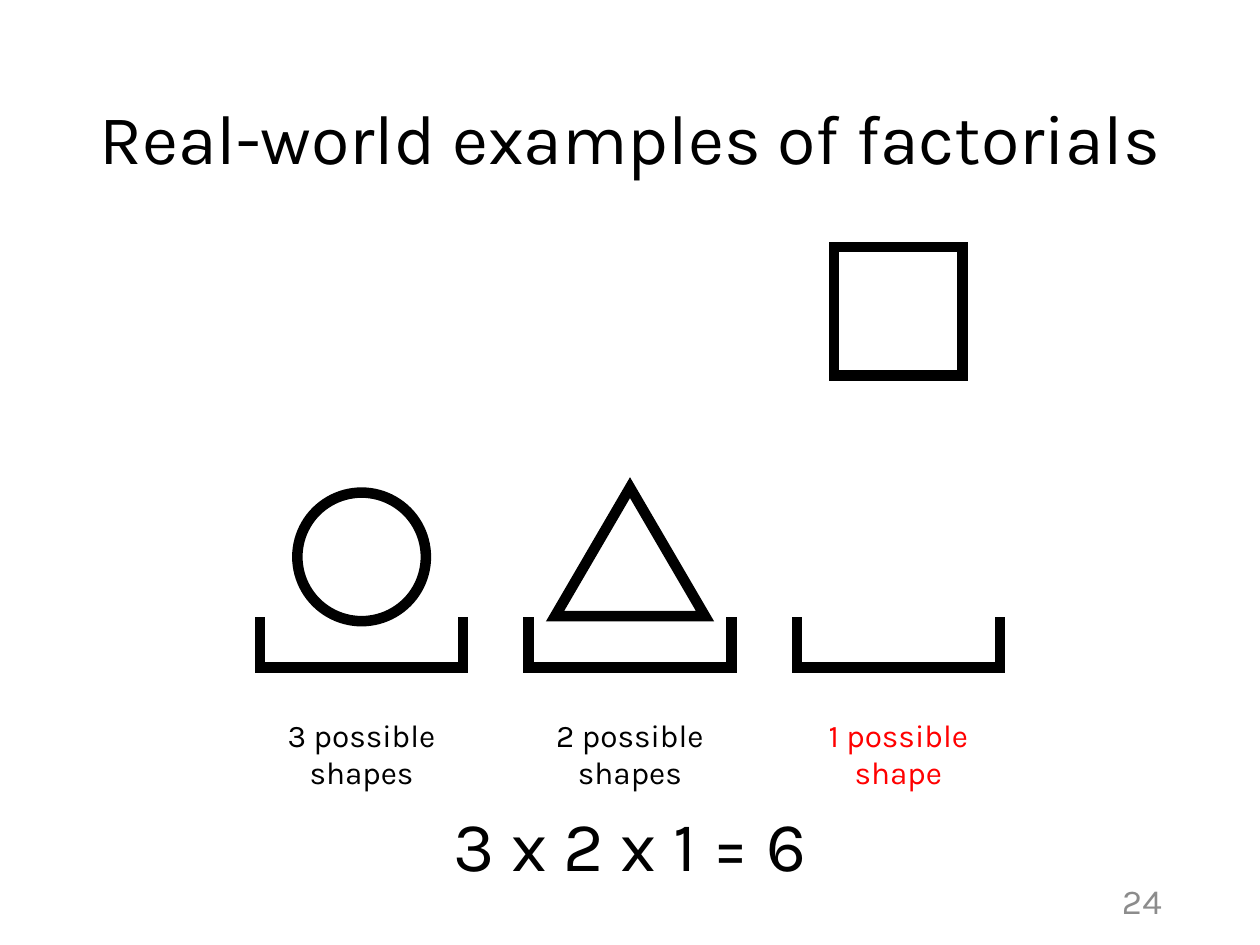
"""Build a slide showing a factorial as three shapes placed into three slots."""
from lxml.etree import SubElement
from pptx import Presentation
from pptx.dml.color import RGBColor
from pptx.enum.shapes import MSO_SHAPE
from pptx.enum.text import MSO_ANCHOR, PP_ALIGN
from pptx.oxml.ns import qn
from pptx.util import Inches, Pt

COLORS = {"black": "000000", "red": "FF0000", "gray": "8C8C8C"}

deck = Presentation()
deck.slide_width, deck.slide_height = Inches(10), Inches(7.5)
slide = deck.slides.add_slide(deck.slide_layouts[6])


def add_text(text, left, top, width, height, size, color="black",
             align=PP_ALIGN.CENTER, anchor=MSO_ANCHOR.TOP):
    frame = slide.shapes.add_textbox(
        Inches(left), Inches(top), Inches(width), Inches(height)).text_frame
    frame.word_wrap = True
    frame.vertical_anchor = anchor
    paragraph = frame.paragraphs[0]
    paragraph.text = text
    paragraph.alignment = align
    paragraph.font.name = "Karla"
    paragraph.font.size = Pt(size)
    paragraph.font.color.rgb = RGBColor.from_string(COLORS[color])
    return paragraph


def add_outline(kind, center_x, center_y, width, height):
    outline = slide.shapes.add_shape(
        kind, Inches(center_x - width / 2), Inches(center_y - height / 2),
        Inches(width), Inches(height))
    outline.shadow.inherit = False
    outline.fill.background()
    outline.line.color.rgb = RGBColor.from_string(COLORS["black"])
    outline.line.width = Pt(6)
    SubElement(outline.line._get_or_add_ln(), qn("a:miter"), lim="800000")
    return outline


title = add_text("Real-world examples of factorials", 0.69, 0.4, 8.62, 1.45, 40,
                 align=PP_ALIGN.LEFT, anchor=MSO_ANCHOR.MIDDLE)
title.line_spacing = 0.9
add_text("24", 8.65, 6.95, 0.67, 0.4, 20, "gray", PP_ALIGN.RIGHT, MSO_ANCHOR.MIDDLE)

slots = [
    (MSO_SHAPE.OVAL, 4.42, 1.02, "3 possible shapes", "black"),
    (MSO_SHAPE.ISOSCELES_TRIANGLE, 4.38, 1.19, "2 possible shapes", "black"),
    (MSO_SHAPE.RECTANGLE, 2.47, 1.02, "1 possible shape", "red"),
]
for index, (kind, center_y, width, choices, color) in enumerate(slots):
    center_x = 5 + (index - 1) * 2.13
    add_outline(kind, center_x, center_y, width, 1.02)
    slot = add_outline(MSO_SHAPE.RIGHT_BRACKET, center_x, 5.1, 0.4, 1.61)
    slot.rotation = 90
    slot.adjustments[0] = 0
    add_text(choices, center_x - 0.95, 5.63, 1.9, 0.68, 18, color)

add_text("3 x 2 x 1 = 6", 3.38, 6.31, 3.24, 0.77, 40)

deck.save("out.pptx")
